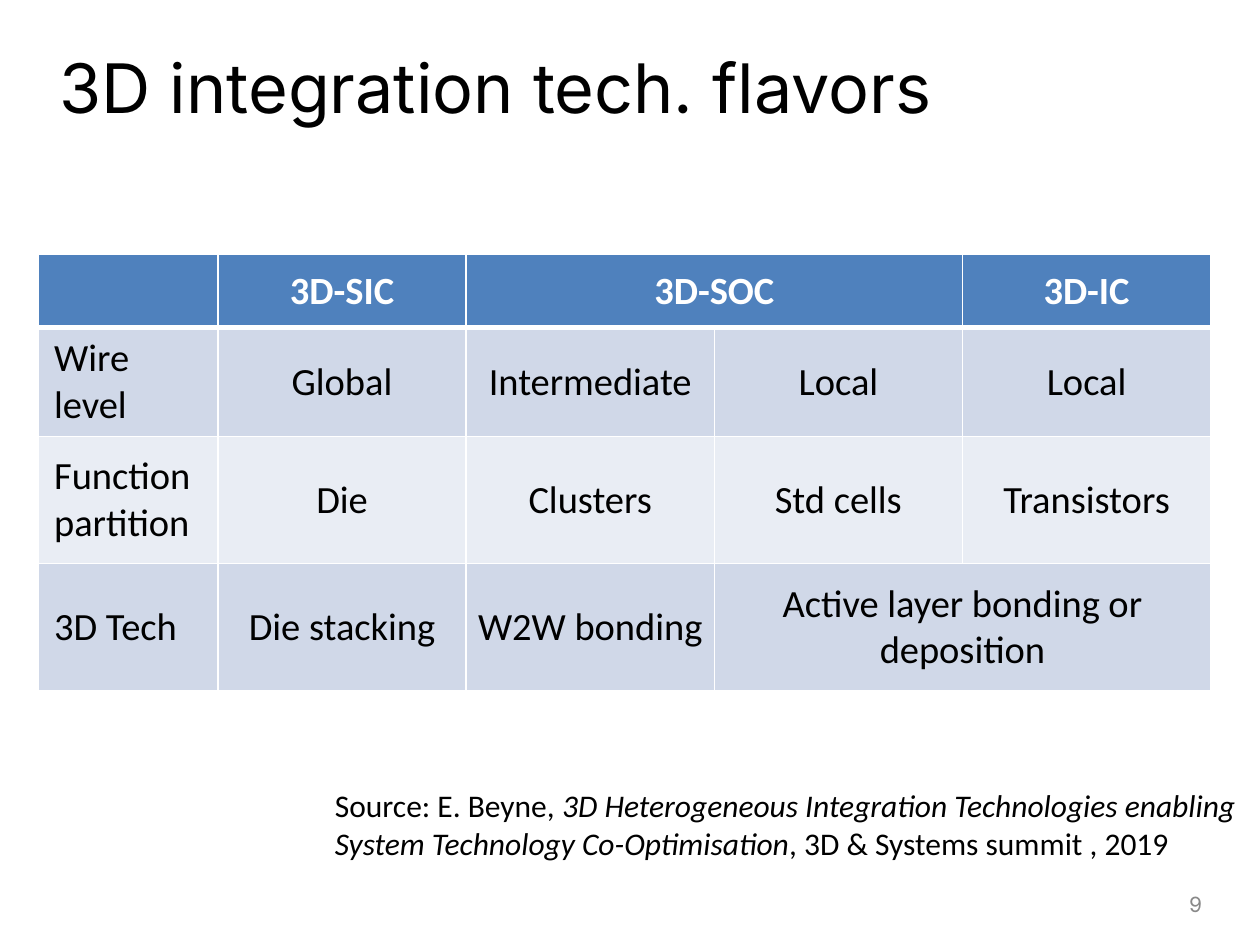
"""Build the slide comparing 3D integration technology flavors."""
from typing import NamedTuple

from lxml.etree import SubElement
from pptx import Presentation
from pptx.dml.color import RGBColor
from pptx.enum.text import MSO_ANCHOR, MSO_AUTO_SIZE, PP_ALIGN
from pptx.oxml.ns import qn
from pptx.util import Inches, Pt

COLORS = {
    "black": "000000",
    "white": "FFFFFF",
    "header": "4F81BD",
    "odd": "D0D8E8",
    "even": "E9EDF4",
    "page": "898989",
}


class Flavor(NamedTuple):
    """One table row: height, fill colour and (text, columns spanned) pairs."""
    height: float
    fill: str
    entries: list[tuple[str, int]]


COLUMN_WIDTHS = [1.43] + [1.97] * 4
FLAVORS = [
    Flavor(0.58, "header", [("", 1), ("3D-SIC", 1), ("3D-SOC", 2), ("3D-IC", 1)]),
    Flavor(0.58, "odd", [("Wire level", 1), ("Global", 1), ("Intermediate", 1),
                         ("Local", 1), ("Local", 1)]),
    Flavor(1.01, "even", [("Function partition", 1), ("Die", 1), ("Clusters", 1),
                          ("Std cells", 1), ("Transistors", 1)]),
    Flavor(1.01, "odd", [("3D Tech", 1), ("Die stacking", 1), ("W2W bonding", 1),
                         ("Active layer bonding or deposition", 2)]),
]
CITATION = [
    [("Source: E. Beyne, ", False),
     ("3D Heterogeneous Integration Technologies enabling ", True)],
    [("System Technology Co-Optimisation", True),
     (", 3D & Systems summit , 2019", False)],
]


def style(paragraph, size: float, color: str, face: str = "Calibri",
          align: PP_ALIGN = PP_ALIGN.LEFT) -> None:
    """Set the font and alignment of a paragraph."""
    paragraph.alignment = align
    paragraph.font.size = Pt(size)
    paragraph.font.name = face
    paragraph.font.color.rgb = RGBColor.from_string(COLORS[color])


def place(shape, left: float, top: float, width: float, height: float) -> None:
    """Position a shape in inches."""
    shape.left, shape.top = Inches(left), Inches(top)
    shape.width, shape.height = Inches(width), Inches(height)


def add_borders(cell, row: int) -> None:
    """Draw white cell borders, heavier between header and body."""
    widths = {"lnL": 1, "lnR": 1, "lnT": 3 if row == 1 else 1,
              "lnB": 3 if row == 0 else 1}
    properties = cell._tc.get_or_add_tcPr()
    for side, width in widths.items():
        border = SubElement(properties, qn(f"a:{side}"), w=str(Pt(width)))
        fill = SubElement(border, qn("a:solidFill"))
        SubElement(fill, qn("a:srgbClr"), val=COLORS["white"])


def fill_cell(cell, text: str, row: int, column: int) -> None:
    """Write and align the text of one cell."""
    wide = column == 0 or (row == 0 and text != "3D-SOC")
    side = 0.13 if wide else 0.11 if row == 0 else 0.05
    cell.margin_left = cell.margin_right = Inches(side)
    cell.margin_top = cell.margin_bottom = Inches(0.06 if wide else 0.05)
    cell.vertical_anchor = MSO_ANCHOR.MIDDLE
    cell.text = text
    paragraph = cell.text_frame.paragraphs[0]
    style(paragraph, 22, "black" if row else "white",
          align=PP_ALIGN.CENTER if column else PP_ALIGN.LEFT)
    paragraph.font.bold = row == 0


def add_flavor_table(slide) -> None:
    """Add the comparison table."""
    table = slide.shapes.add_table(
        len(FLAVORS), len(COLUMN_WIDTHS), Inches(0.3), Inches(2.02),
        Inches(sum(COLUMN_WIDTHS)), Inches(sum(f.height for f in FLAVORS))).table
    table.first_row = table.horz_banding = False
    for column, width in zip(table.columns, COLUMN_WIDTHS):
        column.width = Inches(width)
    for row, flavor in enumerate(FLAVORS):
        table.rows[row].height = Inches(flavor.height)
        for cell in table.rows[row].cells:
            add_borders(cell, row)
            cell.fill.solid()
            cell.fill.fore_color.rgb = RGBColor.from_string(COLORS[flavor.fill])
        column = 0
        for text, span in flavor.entries:
            cell = table.cell(row, column)
            if span > 1:
                cell.merge(table.cell(row, column + span - 1))
            fill_cell(cell, text, row, column)
            column += span


def add_title(slide) -> None:
    """Place and format the title."""
    title = slide.shapes.title
    place(title, 0.37, 0.3, 8.51, 0.77)
    title.text_frame.text = "3D integration tech. flavors"
    title.text_frame.auto_size = MSO_AUTO_SIZE.NONE
    title.text_frame.vertical_anchor = MSO_ANCHOR.MIDDLE
    style(title.text_frame.paragraphs[0], 39, "black", "Inter")


def add_page_number(slide) -> None:
    """Add the page number at the lower right."""
    frame = slide.shapes.add_textbox(
        Inches(7.31), Inches(7.04), Inches(2.33), Inches(0.27)).text_frame
    frame.word_wrap = True
    frame.vertical_anchor = MSO_ANCHOR.MIDDLE
    frame.text = "9"
    style(frame.paragraphs[0], 12, "page", "Inter", PP_ALIGN.RIGHT)


def add_citation(slide) -> None:
    """Add the source reference below the table."""
    frame = slide.shapes.add_textbox(
        Inches(2.56), Inches(6.19), Inches(7.44), Inches(0.71)).text_frame
    frame.word_wrap = False
    frame.auto_size = MSO_AUTO_SIZE.SHAPE_TO_FIT_TEXT
    for index, line in enumerate(CITATION):
        paragraph = frame.add_paragraph() if index else frame.paragraphs[0]
        style(paragraph, 18, "black")
        for text, italic in line:
            run = paragraph.add_run()
            run.text = text
            run.font.italic = italic


def main() -> None:
    """Assemble and save the slide."""
    deck = Presentation()
    deck.slide_width, deck.slide_height = Inches(10), Inches(7.5)
    slide = deck.slides.add_slide(deck.slide_layouts.get_by_name("Title Only"))
    add_title(slide)
    add_flavor_table(slide)
    add_page_number(slide)
    add_citation(slide)
    deck.save("out.pptx")


main()
